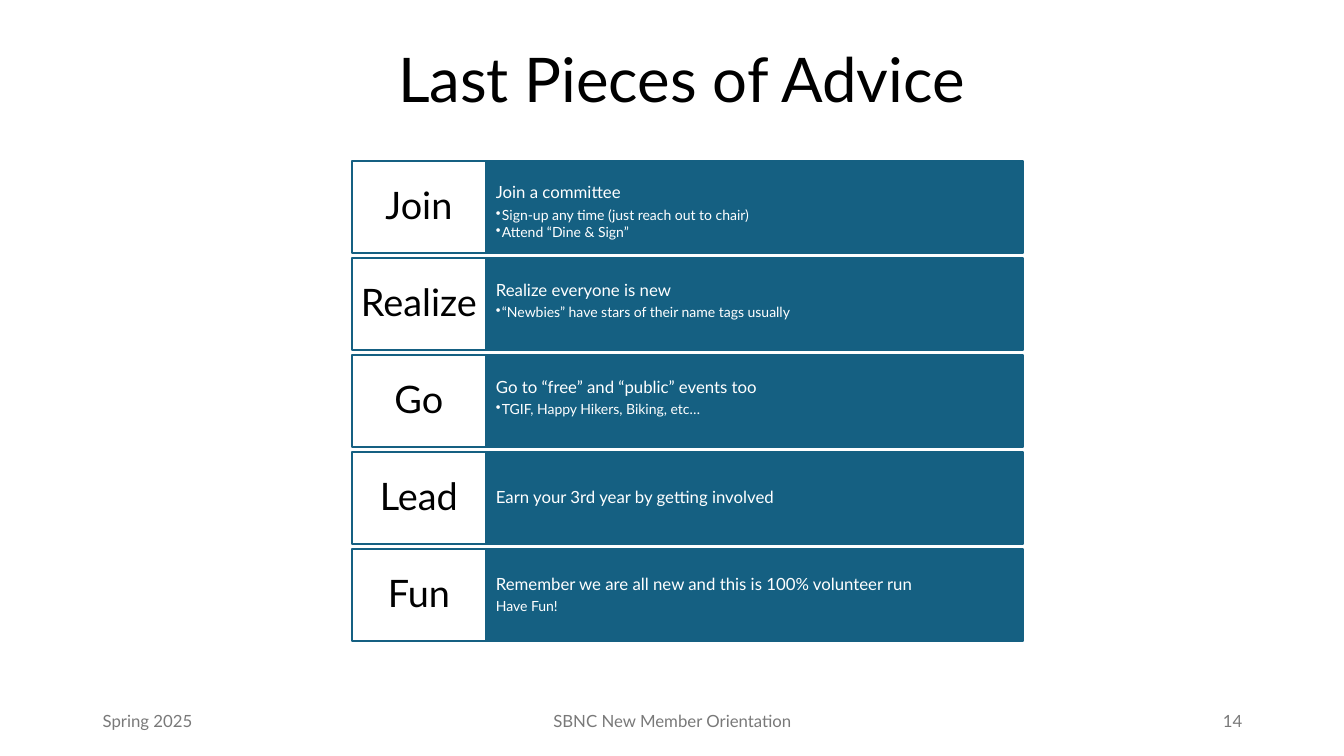
import pptx
import pptx.dml.color
import pptx.enum.shapes
import pptx.enum.text
import pptx.oxml
import pptx.oxml.ns
import pptx.util
from pptx.util import Inches

ALIGN = pptx.enum.text.PP_ALIGN
ANCHOR = pptx.enum.text.MSO_ANCHOR

FONT = "Lato"
COLORS = {"panel": "156082", "white": "FFFFFF", "black": "000000", "footer": "797979"}

TITLE = "Last Pieces of Advice"
ADVICE = [
    ("Join", "Join a committee",
     ["Sign-up any time (just reach out to chair)", "Attend “Dine & Sign”"], True),
    ("Realize", "Realize everyone is new",
     ["“Newbies” have stars of their name tags usually"], True),
    ("Go", "Go to “free” and “public” events too",
     ["TGIF, Happy Hikers, Biking, etc…"], True),
    ("Lead", "Earn your 3rd year by getting involved", [], False),
    ("Fun", "Remember we are all new and this is 100% volunteer run",
     ["Have Fun!"], False),
]
FOOTERS = [
    ("Spring 2025", 0.92, 3, ALIGN.LEFT),
    ("SBNC New Member Orientation", 4.42, 4.5, ALIGN.CENTER),
    ("14", 9.42, 3, ALIGN.RIGHT),
]

ROW_TOP, ROW_STEP, ROW_HEIGHT = 1.6, 0.9625, 0.91
LABEL_LEFT, LABEL_WIDTH, DETAIL_WIDTH = 3.49, 1.33, 5.33


def rgb(name):
    return pptx.dml.color.RGBColor.from_string(COLORS[name])


def style_paragraph(paragraph, size, color, align=ALIGN.LEFT, line_spacing=0.9, after=0):
    paragraph.alignment = align
    paragraph.line_spacing = line_spacing
    paragraph.space_after = pptx.util.Pt(after)
    for run in paragraph.runs:
        run.font.name = FONT
        run.font.size = pptx.util.Pt(size)
        run.font.color.rgb = rgb(color)


def add_bullet(paragraph):
    properties = paragraph._p.get_or_add_pPr()
    properties.set("lvl", "1")
    properties.set("marL", str(Inches(0.06)))
    properties.set("indent", str(Inches(-0.06)))
    bullet = pptx.oxml.parse_xml(
        f'<a:buChar {pptx.oxml.ns.nsdecls("a")} char="•"/>')
    properties.append(bullet)


def add_text(slide, text, left, top, width, height, size, color, **style):
    frame = slide.shapes.add_textbox(
        Inches(left), Inches(top), Inches(width), Inches(height)).text_frame
    frame.word_wrap = True
    frame.vertical_anchor = ANCHOR.MIDDLE
    frame.text = text
    style_paragraph(frame.paragraphs[0], size, color, **style)


def add_cell(slide, lines, left, top, width, fill, margins, anchor):
    shape = slide.shapes.add_shape(
        pptx.enum.shapes.MSO_SHAPE.RECTANGLE,
        Inches(left), Inches(top), Inches(width), Inches(ROW_HEIGHT))
    shape.shadow.inherit = False
    shape.fill.solid()
    shape.fill.fore_color.rgb = rgb(fill)
    shape.line.color.rgb = rgb("panel")
    shape.line.width = pptx.util.Pt(1.5)
    frame = shape.text_frame
    frame.word_wrap = True
    frame.vertical_anchor = anchor
    frame.margin_left = frame.margin_right = Inches(margins[0])
    frame.margin_top = frame.margin_bottom = Inches(margins[1])
    frame.text = "\n".join(lines)
    return frame.paragraphs


def add_advice(slide, top, label, heading, details, bulleted):
    anchor = ANCHOR.TOP if bulleted else ANCHOR.MIDDLE
    first, *rest = add_cell(slide, [heading, *details], LABEL_LEFT + LABEL_WIDTH, top,
                            DETAIL_WIDTH, "panel", (0.1, 0.23), anchor)
    style_paragraph(first, 12, "white", after=4.2)
    for paragraph in rest:
        if bulleted:
            add_bullet(paragraph)
        style_paragraph(paragraph, 10, "white", after=1.5 if bulleted else 3.5)
    name, = add_cell(slide, [label], LABEL_LEFT, top, LABEL_WIDTH, "white",
                     (0.07, 0.09), ANCHOR.MIDDLE)
    style_paragraph(name, 27, "black", ALIGN.CENTER)


def main():
    presentation = pptx.Presentation()
    presentation.slide_width = Inches(13.33)
    presentation.slide_height = Inches(7.5)
    slide = presentation.slides.add_slide(presentation.slide_layouts[6])

    add_text(slide, TITLE, 3.85, 0.25, 7.86, 1.13, 44, "black")
    for row, advice in enumerate(ADVICE):
        add_advice(slide, ROW_TOP + row * ROW_STEP, *advice)
    for text, left, width, align in FOOTERS:
        add_text(slide, text, left, 6.95, width, 0.4, 12, "footer",
                 align=align, line_spacing=1.0, after=6)

    presentation.save("out.pptx")


if __name__ == "__main__":
    main()
